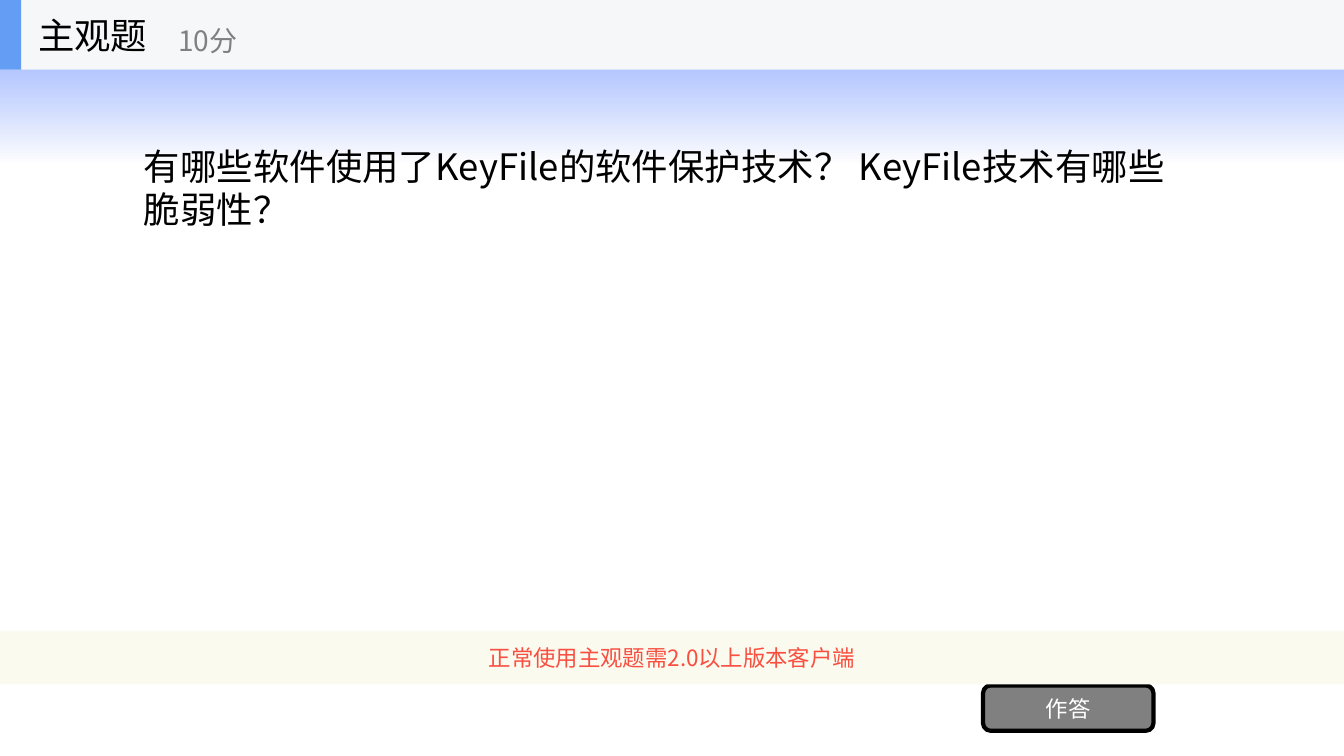
"""Build a quiz slide with a subjective question and an answer button."""
from lxml import etree
from pptx import Presentation
from pptx.dml.color import RGBColor
from pptx.enum.shapes import MSO_SHAPE
from pptx.enum.text import MSO_ANCHOR, PP_ALIGN
from pptx.oxml.ns import qn
from pptx.util import Inches, Pt

RECTANGLE, ROUNDED = MSO_SHAPE.RECTANGLE, MSO_SHAPE.ROUNDED_RECTANGLE
LEFT, CENTER = PP_ALIGN.LEFT, PP_ALIGN.CENTER
MIDDLE = MSO_ANCHOR.MIDDLE
FONT = "Noto Sans CJK SC"
WIDTH, HEADER = 13.33, 0.69


def color(value):
    return RGBColor.from_string(value)


def add_box(page, kind, place, fill=None, text="", size=16, ink="000000", align=LEFT):
    place = [Inches(length) for length in place]
    if kind is None:
        box = page.shapes.add_textbox(*place)
    else:
        box = page.shapes.add_shape(kind, *place)
        box.shadow.inherit = False
        box.line.fill.background()
    if fill:
        box.fill.solid()
        box.fill.fore_color.rgb = color(fill)
    if text:
        frame = box.text_frame
        frame.word_wrap = True
        frame.vertical_anchor = MIDDLE
        para = frame.paragraphs[0]
        para.alignment = align
        span = para.add_run()
        span.text = text
        for name, value in {"name": FONT, "size": Pt(size)}.items():
            setattr(span.font, name, value)
        span.font.color.rgb = color(ink)
        etree.SubElement(span.font._element, qn("a:ea"), typeface=FONT)
    return box


deck = Presentation()
deck.slide_width, deck.slide_height = Inches(WIDTH), Inches(7.5)
page = deck.slides.add_slide(deck.slide_layouts[6])

glow = add_box(page, RECTANGLE, (0, 0, WIDTH, 1.62))
glow.fill.gradient()
glow.fill.gradient_angle = 270
stops = [(0, "3366FF"), (1, "FFFFFF")]
for stop, (position, value) in zip(glow.fill.gradient_stops, stops):
    stop.position = position
    stop.color.rgb = color(value)
for node, opacity in zip(glow.element.spPr.iter(qn("a:srgbClr")), (60, 70)):
    etree.SubElement(node, qn("a:alpha"), val=str(opacity * 1000))

add_box(page, None, (1.33, HEADER, 10.67, 2.34), size=26,
        text="有哪些软件使用了KeyFile的软件保护技术？ KeyFile技术有哪些脆弱性？")

button = add_box(page, ROUNDED, (9.75, 6.8, 1.69, 0.45), "808080",
                 "作答", ink="FFFFFF", align=CENTER)
button.line.color.rgb = color("000000")
button.line.width = Pt(3)

add_box(page, RECTANGLE, (0, 6.26, WIDTH, 0.53), "FBFAEF",
        "正常使用主观题需2.0以上版本客户端", ink="F84F41", align=CENTER)

add_box(page, RECTANGLE, (0, 0, WIDTH, HEADER), "F6F7F8")
add_box(page, RECTANGLE, (0, 0, 0.21, HEADER), "639EF4")
add_box(page, None, (0.28, 0, 2.08, HEADER), text="主观题", size=26)
add_box(page, None, (1.67, 0.12, 2.5, 0.56), text="10分", size=20, ink="808080")

deck.save("out.pptx")
